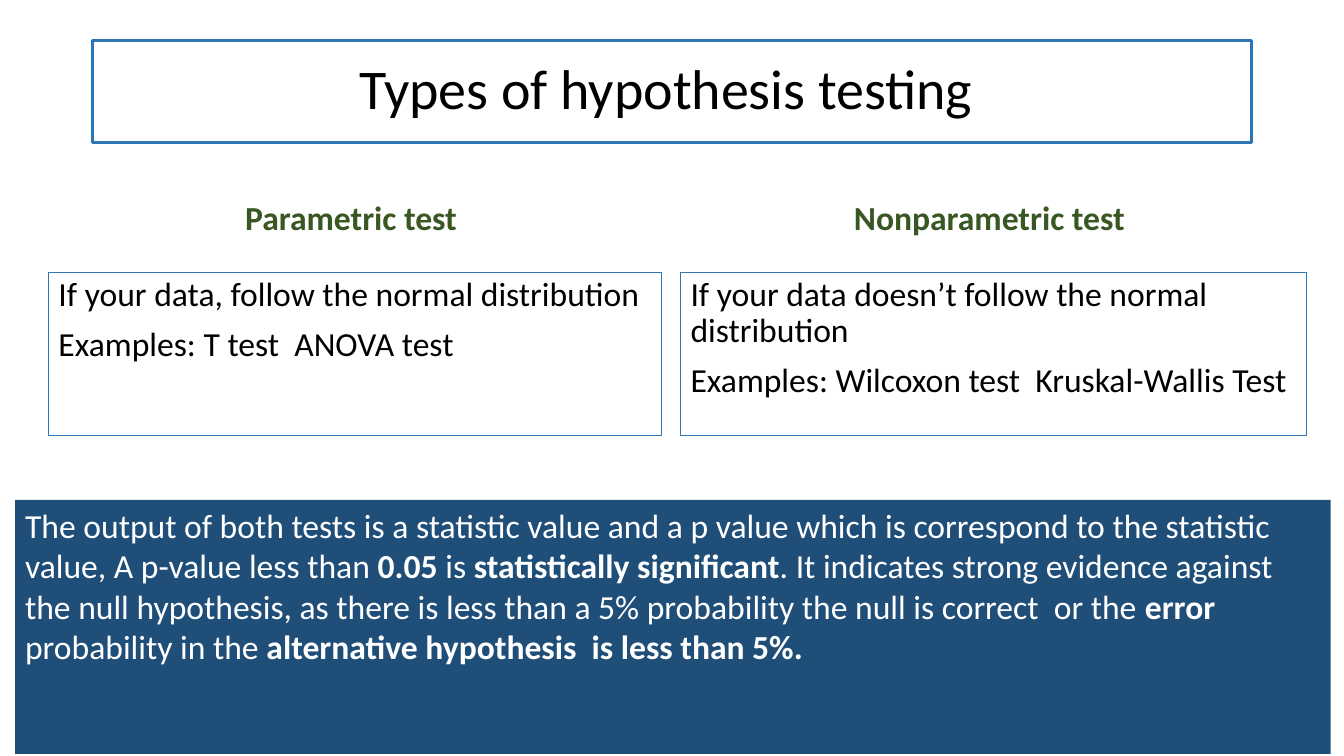
"""Build a slide that compares parametric and nonparametric hypothesis tests."""
from dataclasses import dataclass
from typing import Any, Optional

from pptx import Presentation
from pptx import util as u
from pptx.dml.color import RGBColor
from pptx.enum import shapes, text
from pptx.oxml.ns import qn

COLORS = {"ink": "000000", "green": "385723", "blue": "2E75B6", "navy": "1F4E79", "white": "FFFFFF"}
WIDTH, HEIGHT = u.Inches(13.33), u.Inches(7.5)
COLUMN, ROW = WIDTH / 100, HEIGHT / 100

Run = tuple[str, bool]


@dataclass(frozen=True)
class Style:
    color: str
    size: int = 24
    align: text.PP_ALIGN = text.PP_ALIGN.LEFT
    anchor: text.MSO_ANCHOR = text.MSO_ANCHOR.TOP
    spacing: float = 0.9
    before: int = 10
    outline: Optional[float] = None


@dataclass(frozen=True)
class Block:
    column: float
    row: float
    columns: float
    rows: float
    style: Style
    paragraphs: list[list[Run]]


TITLE = Style("ink", 40, text.PP_ALIGN.CENTER, text.MSO_ANCHOR.MIDDLE, before=0, outline=2.25)
HEADING = Style("green", align=text.PP_ALIGN.CENTER, anchor=text.MSO_ANCHOR.BOTTOM)
DETAIL = Style("ink", outline=0.75)
SUMMARY = Style("white", spacing=1.0, before=0)

PLACEHOLDERS = {
    0: Block(6.9, 5.33, 86.25, 13.47, TITLE, [[("Types of hypothesis testing ", False)]]),
    1: Block(5.25, 24.67, 42.3, 7.47, HEADING, [[("Parametric test ", True)]]),
    2: Block(3.6, 36, 45.6, 21.6, DETAIL, [
        [("If your data, follow the normal distribution", False)],
        [("Examples: T test  ANOVA test", False)],
    ]),
    3: Block(52.65, 24.67, 42.5, 7.47, HEADING, [[("Nonparametric test ", True)]]),
    4: Block(50.63, 36, 46.6, 21.6, DETAIL, [
        [("If your data doesn’t follow the normal distribution", False)],
        [("Examples: Wilcoxon test  Kruskal-Wallis Test", False)],
    ]),
}
CONCLUSION = Block(1.13, 66.13, 97.88, 33.6, SUMMARY, [[
    ("The output of both tests is a statistic value and a p value which is correspond "
     "to the statistic value, A p-value less than", False),
    (" 0.05 ", True),
    ("is ", False),
    ("statistically significant", True),
    (". It indicates strong evidence against the null hypothesis, as there is less than "
     "a 5% probability the null is correct  or the ", False),
    ("error", True),
    (" probability in the ", False),
    ("alternative hypothesis  is less than 5%.", True),
]])


def color(name: str) -> RGBColor:
    return RGBColor.from_string(COLORS[name])


def apply(target: Any, values: dict[str, Any]) -> None:
    for name, value in values.items():
        setattr(target, name, value)


def place(shape: Any, block: Block) -> None:
    apply(shape, {
        "left": round(block.column * COLUMN), "top": round(block.row * ROW),
        "width": round(block.columns * COLUMN), "height": round(block.rows * ROW),
    })
    if block.style.outline:
        shape.line.color.rgb = color("blue")
        shape.line.width = u.Pt(block.style.outline)


def write(shape: Any, block: Block) -> None:
    style, frame = block.style, shape.text_frame
    apply(frame, {
        "word_wrap": True, "auto_size": text.MSO_AUTO_SIZE.NONE, "vertical_anchor": style.anchor,
    })
    for index, runs in enumerate(block.paragraphs):
        paragraph = frame.add_paragraph() if index else frame.paragraphs[0]
        apply(paragraph, {
            "alignment": style.align, "line_spacing": style.spacing,
            "space_before": u.Pt(style.before), "space_after": u.Pt(0),
        })
        properties = paragraph._p.get_or_add_pPr()
        for name in ("marL", "indent"):
            properties.set(name, "0")
        properties.append(properties.makeelement(qn("a:buNone"), {}))
        for words, bold in runs:
            run = paragraph.add_run()
            run.text = words
            apply(run.font, {"name": "Calibri", "size": u.Pt(style.size), "bold": bold})
            run.font.color.rgb = color(style.color)


def main() -> None:
    presentation = Presentation()
    apply(presentation, {"slide_width": WIDTH, "slide_height": HEIGHT})
    layout = presentation.slide_layouts.get_by_name("Comparison")
    slide = presentation.slides.add_slide(layout)
    for index, block in PLACEHOLDERS.items():
        placeholder = slide.placeholders[index]
        place(placeholder, block)
        write(placeholder, block)

    panel = slide.shapes.add_shape(shapes.MSO_SHAPE.RECTANGLE, 0, 0, 0, 0)
    place(panel, CONCLUSION)
    panel.shadow.inherit = False
    panel.fill.solid()
    panel.fill.fore_color.rgb = color("navy")
    panel.line.fill.background()
    write(panel, CONCLUSION)
    presentation.save("out.pptx")


if __name__ == "__main__":
    main()
